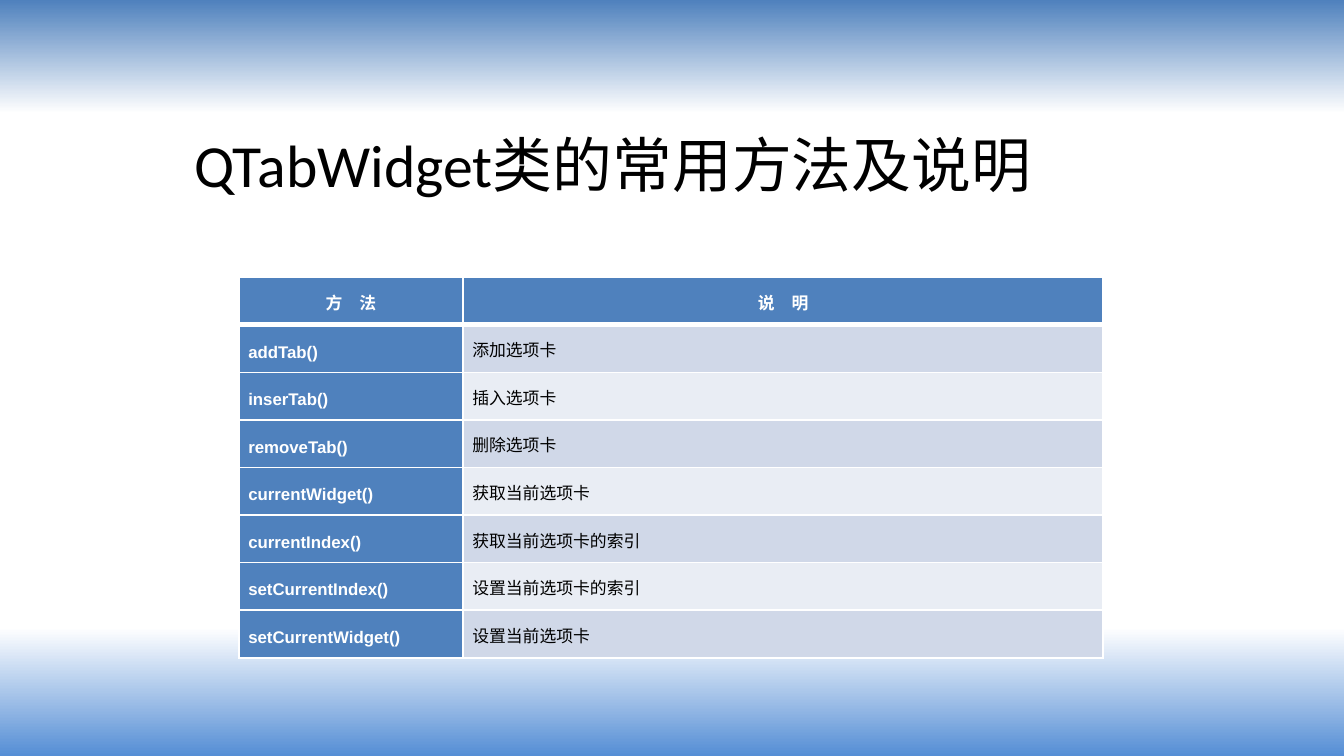
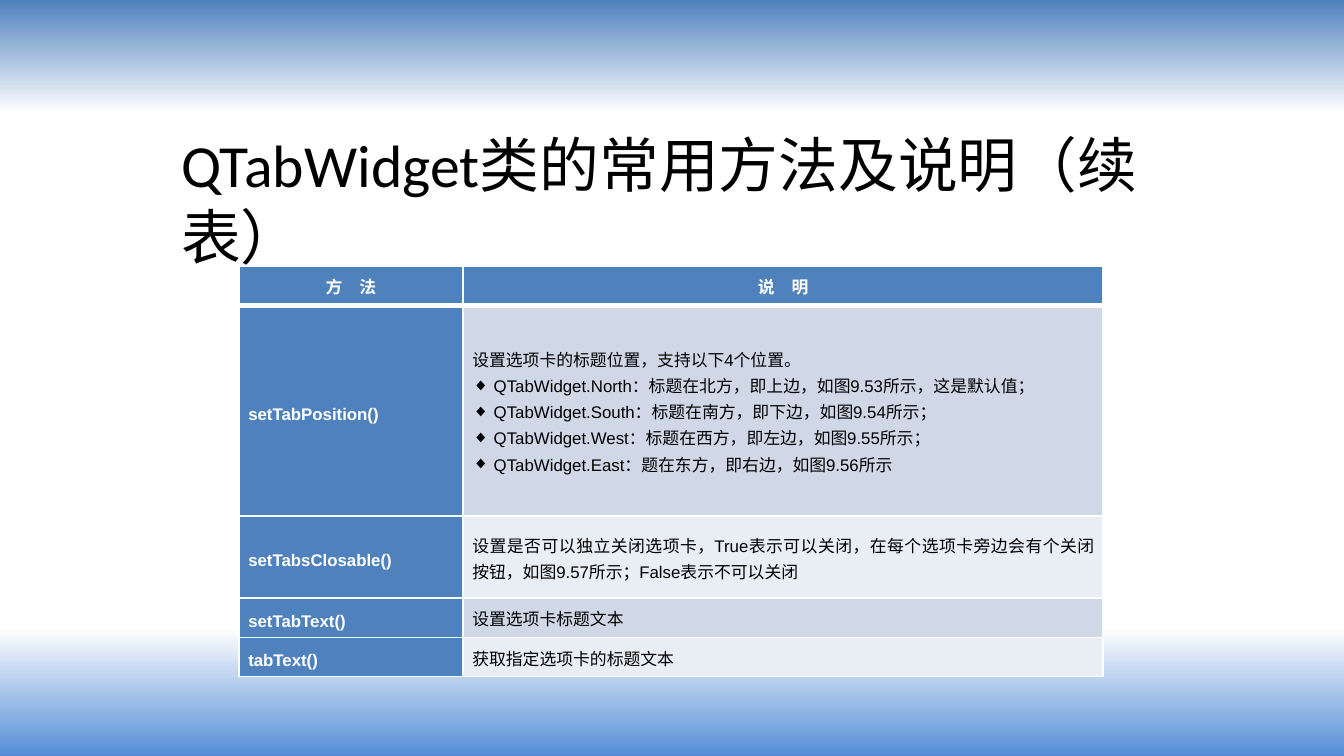
from dataclasses import dataclass

from lxml import etree
from pptx import Presentation
from pptx.dml.color import RGBColor
from pptx.enum.text import MSO_ANCHOR, PP_ALIGN
from pptx.oxml.ns import qn
from pptx.util import Pt

PX = 6350
CENTER, JUSTIFY = PP_ALIGN.CENTER, PP_ALIGN.JUSTIFY
MIDDLE, TOP = MSO_ANCHOR.MIDDLE, MSO_ANCHOR.TOP


@dataclass(frozen=True)
class Theme:
    blue: str = "4F81BD"
    white: str = "FFFFFF"
    black: str = "000000"
    bands: tuple = ("D0D8E8", "E9EDF4")
    backdrop: tuple = ((0, "4F81BD"), (15, "FFFFFF"), (83, "FFFFFF"), (100, "558ED5"))
    title_font: str = "Calibri"
    table_font: str = "Arial"
    title_size: int = 32
    table_size: int = 9
    line_spacing: int = 14
    border: int = 1
    header_border: int = 3


T = Theme()
BULLET = "◆"
TABLE_LEFT = 256
COLUMNS = (240, 686)
BULLET_INDENT = 23
HEADER = ("方　法", "说　明")

METHODS = (
    ("addTab()", "添加选项卡"),
    ("inserTab()", "插入选项卡"),
    ("removeTab()", "删除选项卡"),
    ("currentWidget()", "获取当前选项卡"),
    ("currentIndex()", "获取当前选项卡的索引"),
    ("setCurrentIndex()", "设置当前选项卡的索引"),
    ("setCurrentWidget()", "设置当前选项卡"),
)
POSITIONS = (
    "QTabWidget.North：标题在北方，即上边，如图9.53所示，这是默认值；",
    "QTabWidget.South：标题在南方，即下边，如图9.54所示；",
    "QTabWidget.West：标题在西方，即左边，如图9.55所示；",
    "QTabWidget.East：题在东方，即右边，如图9.56所示",
)
MORE_METHODS = (
    ("setTabPosition()", "设置选项卡的标题位置，支持以下4个位置。", POSITIONS),
    ("setTabsClosable()", "设置是否可以独立关闭选项卡，True表示可以关闭，"
     "在每个选项卡旁边会有个关闭按钮，如图9.57所示；False表示不可以关闭"),
    ("setTabText()", "设置选项卡标题文本"),
    ("tabText()", "获取指定选项卡的标题文本"),
)


def px(n):
    return n * PX


def add_solid(parent, color):
    solid = etree.SubElement(parent, qn("a:solidFill"))
    etree.SubElement(solid, qn("a:srgbClr"), val=color)


def write(p, text, *, size, font, color, bold=False, align=None, spacing=None, bullet=False):
    if bullet:
        pPr = p._p.get_or_add_pPr()
        pPr.set("marL", str(px(BULLET_INDENT)))
        pPr.set("indent", str(-px(BULLET_INDENT)))
        etree.SubElement(pPr, qn("a:buFont"), typeface=font)
        etree.SubElement(pPr, qn("a:buChar"), char=BULLET)
    if align is not None:
        p.alignment = align
    if spacing:
        p.line_spacing = Pt(spacing)
    r = p.add_run()
    r.text = text
    r.font.size = Pt(size)
    r.font.name = font
    r.font.bold = bold
    r.font.color.rgb = RGBColor.from_string(color)


def set_background(s):
    fill = s.background.fill
    fill.gradient()
    fill.gradient_angle = 270
    stops = s._element.find(".//" + qn("a:gsLst"))
    for stop in list(stops):
        stops.remove(stop)
    for pos, color in T.backdrop:
        stop = etree.SubElement(stops, qn("a:gs"), pos=str(pos * 1000))
        etree.SubElement(stop, qn("a:srgbClr"), val=color)


def add_title(s, text, width, inset):
    sp = s.shapes.add_textbox(px(180), px(130), px(width), px(96))
    tf = sp.text_frame
    tf.word_wrap = True
    tf.vertical_anchor = TOP
    tf.margin_left = px(inset)
    write(tf.paragraphs[0], text, size=T.title_size, font=T.title_font, color=T.black)


def set_borders(cell, top, bottom):
    tcPr = cell._tc.get_or_add_tcPr()
    widths = (("L", T.border), ("R", T.border), ("T", top), ("B", bottom))
    for i, (side, width) in enumerate(widths):
        ln = etree.Element(qn("a:ln" + side), w=str(Pt(width)))
        add_solid(ln, T.white)
        tcPr.insert(i, ln)


def fill_cell(cell, text, items=(), *, fill, color, bold, align, top, bottom):
    cell.fill.solid()
    cell.fill.fore_color.rgb = RGBColor.from_string(fill)
    set_borders(cell, top, bottom)
    cell.vertical_anchor = MIDDLE
    cell.margin_left = cell.margin_right = px(10)
    cell.margin_top = cell.margin_bottom = 0
    tf = cell.text_frame
    fmt = dict(size=T.table_size, font=T.table_font, color=color, bold=bold,
               align=align, spacing=T.line_spacing)
    write(tf.paragraphs[0], text, **fmt)
    for item in items:
        write(tf.add_paragraph(), item, bullet=True, **fmt)


def add_method_table(s, top, heights, methods):
    frame = s.shapes.add_table(len(heights), len(COLUMNS), px(TABLE_LEFT), px(top),
                               px(sum(COLUMNS)), px(sum(heights)))
    table = frame.table
    table.horz_banding = False
    for column, width in zip(table.columns, COLUMNS):
        column.width = px(width)
    for row, height in zip(table.rows, heights):
        row.height = px(height)
    label = dict(fill=T.blue, color=T.white, bold=True)
    for col, text in enumerate(HEADER):
        fill_cell(table.cell(0, col), text, align=CENTER, top=T.border,
                  bottom=T.header_border, **label)
    for i, (name, *description) in enumerate(methods):
        body = dict(align=JUSTIFY, top=T.border if i else T.header_border, bottom=T.border)
        fill_cell(table.cell(i + 1, 0), name, **label, **body)
        fill_cell(table.cell(i + 1, 1), *description, fill=T.bands[i % 2],
                  color=T.black, bold=False, **body)


def add_slide(prs, title, title_width, title_inset, table_top, heights, methods):
    s = prs.slides.add_slide(prs.slide_layouts[6])
    set_background(s)
    add_title(s, title, title_width, title_inset)
    add_method_table(s, table_top, heights, methods)


def main():
    prs = Presentation()
    prs.slide_width, prs.slide_height = px(1440), px(810)
    title = "QTabWidget类的常用方法及说明"
    add_slide(prs, title, 1020, 28, 297, [51] * 8, METHODS)
    add_slide(prs, title + "（续表）", 1164, 14, 285, [42, 226, 88, 42, 42], MORE_METHODS)
    prs.save("out.pptx")


if __name__ == "__main__":
    main()
